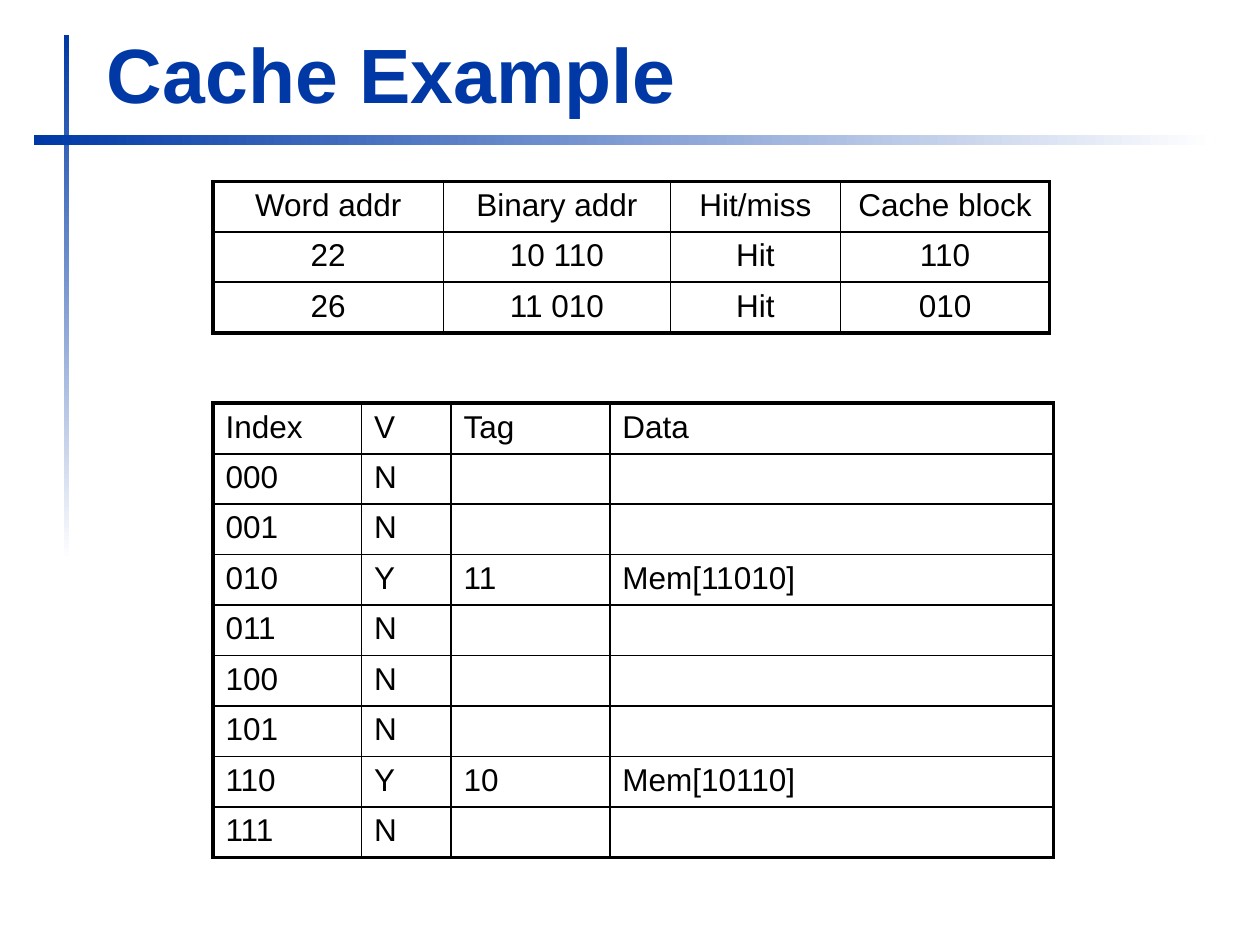
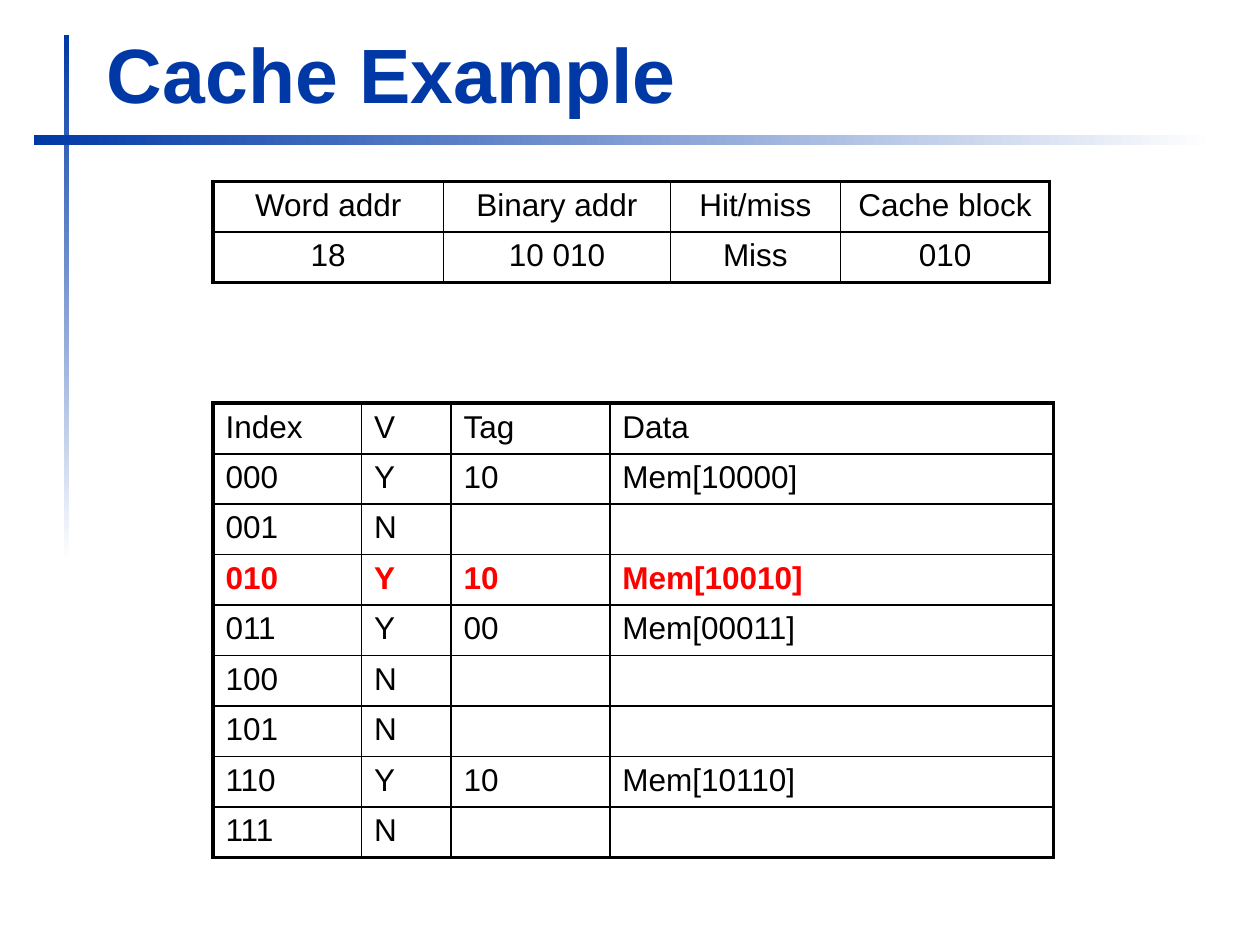
from pptx import Presentation
from pptx.dml.color import RGBColor as Rgb
from pptx.enum.shapes import MSO_SHAPE as Shape
from pptx.enum.text import MSO_ANCHOR as Anchor, PP_ALIGN as Align
from pptx.oxml.ns import qn
from pptx.util import Inches, Pt
from lxml.etree import SubElement as Sub

INK = {"blue": "0039A6", "white": "FFFFFF", "black": "000000", "red": "FF0000"}
FONT = "Arial"
THICK, MID, THIN = 2.25, 1.5, 1

ADDR_HEAD = ["Word addr", "Binary addr", "Hit/miss", "Cache block"]
ADDR_COLS = [1.83, 1.8, 1.35, 1.66]
CACHE_HEAD = ["Index", "V", "Tag", "Data"]
CACHE_COLS = [1.18, 0.71, 1.26, 3.52]

SLIDES = [
    {
        "addrs": [["22", "10 110", "Hit", "110"], ["26", "11 010", "Hit", "010"]],
        "tags": {"010": "11", "110": "10"},
        "new": None,
    },
    {
        "addrs": [["18", "10 010", "Miss", "010"]],
        "tags": {"000": "10", "010": "10", "011": "00", "110": "10"},
        "new": "010",
    },
]


def write(frame, text, size=18, color="black", bold=False, align=Align.LEFT):
    para = frame.paragraphs[0]
    para.alignment = align
    para.font.size = Pt(size)
    if text:
        run = para.add_run()
        run.text = text
        font = run.font
        font.name, font.size, font.bold = FONT, Pt(size), bold
        font.color.rgb = Rgb.from_string(INK[color])


def fade(slide, box, angle):
    bar = slide.shapes.add_shape(Shape.RECTANGLE, *map(Inches, box))
    bar.shadow.inherit = False
    bar.line.fill.background()
    bar.fill.gradient()
    bar.fill.gradient_angle = angle
    for stop, name, place in zip(bar.fill.gradient_stops, ("blue", "white"), (0, 1)):
        stop.color.rgb = Rgb.from_string(INK[name])
        stop.position = place


def title(slide, box, text):
    frame = slide.shapes.add_textbox(*map(Inches, box)).text_frame
    frame.word_wrap = True
    frame.vertical_anchor = Anchor.BOTTOM
    write(frame, text, size=44, color="blue", bold=True)


def edge(cell, **widths):
    props = cell._tc.get_or_add_tcPr()
    for side, width in widths.items():
        line = Sub(props, qn(f"a:ln{side}"), w=str(Pt(width)))
        Sub(Sub(line, qn("a:solidFill")), qn("a:srgbClr"), val=INK["black"])


def grid(slide, left, top, cols, rows, high, rule, align=Align.LEFT, hot=None):
    box = (left, top, sum(cols), sum(high))
    table = slide.shapes.add_table(len(rows), len(cols), *map(Inches, box)).table
    table.first_row = table.horz_banding = False
    for col, width in zip(table.columns, cols):
        col.width = Inches(width)
    across = [THICK, MID] + [rule] * (len(rows) - 2) + [THICK]
    down = [THICK] + [THIN] * (len(cols) - 1) + [THICK]
    for r, (row, tall) in enumerate(zip(rows, high)):
        table.rows[r].height = Inches(tall)
        lit = row[0] == hot
        for c, text in enumerate(row):
            cell = table.cell(r, c)
            edge(cell, L=down[c], R=down[c + 1], T=across[r], B=across[r + 1])
            cell.fill.background()
            write(cell.text_frame, text, color="red" if lit else "black",
                  bold=lit, align=align)


def addrs(slide, left, top, rows):
    grid(slide, left, top, ADDR_COLS, [ADDR_HEAD] + rows,
         [0.38] + [0.4] * len(rows), MID, align=Align.CENTER)


def cache(slide, left, top, tags, new):
    rows = [CACHE_HEAD]
    for n in range(8):
        key = f"{n:03b}"
        tag = tags.get(key)
        rows.append([key, "Y", tag, f"Mem[{tag}{key}]"] if tag else [key, "N", "", ""])
    grid(slide, left, top, CACHE_COLS, rows, [0.38] * len(rows), THIN, hot=new)


def page(deck, data):
    slide = deck.slides.add_slide(deck.slide_layouts[6])
    fade(slide, (0.51, 0.28, 0.04, 4.17), 270)
    fade(slide, (0.27, 1.07, 9.37, 0.08), 0)
    title(slide, (0.75, 0.16, 9.03, 0.83), "Cache Example")
    cache(slide, 1.69, 3.2, data["tags"], data["new"])
    addrs(slide, 1.69, 1.44, data["addrs"])


def main():
    deck = Presentation()
    deck.slide_width, deck.slide_height = Inches(10), Inches(7.5)
    for data in SLIDES:
        page(deck, data)
    deck.save("out.pptx")


if __name__ == "__main__":
    main()
